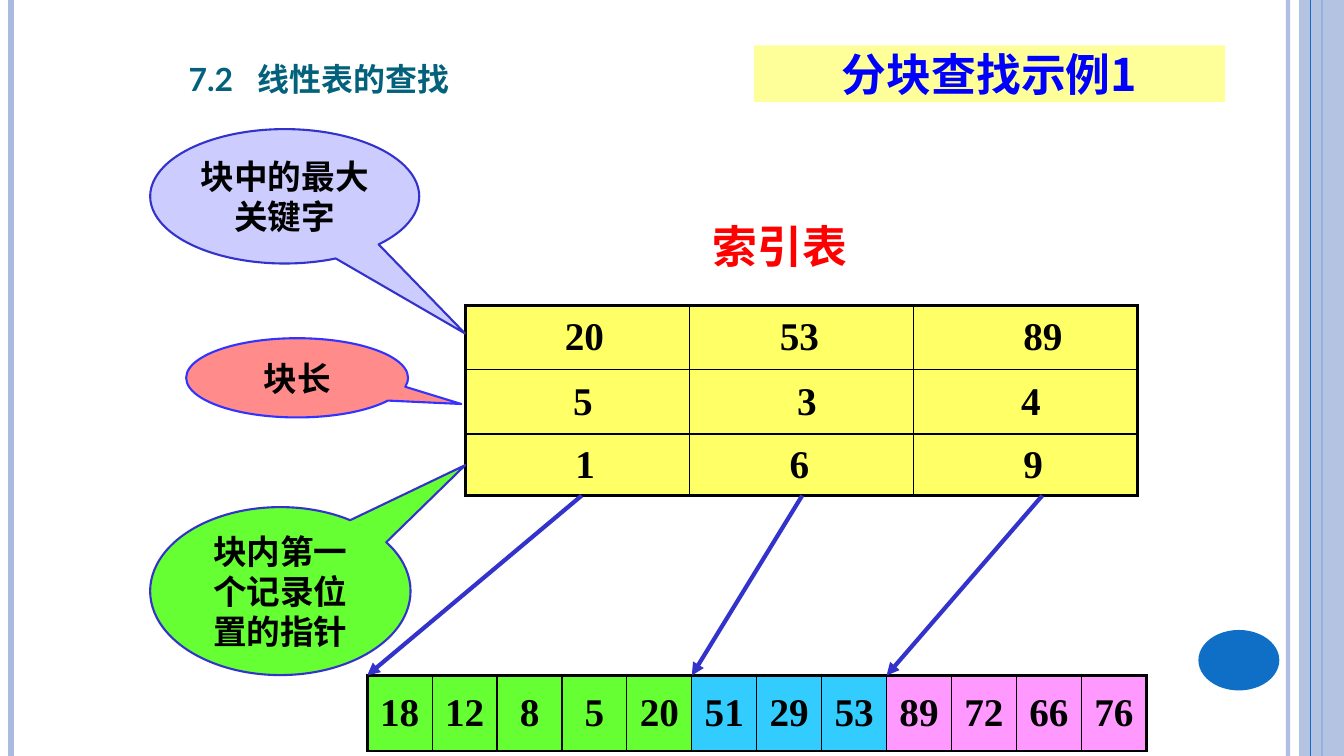
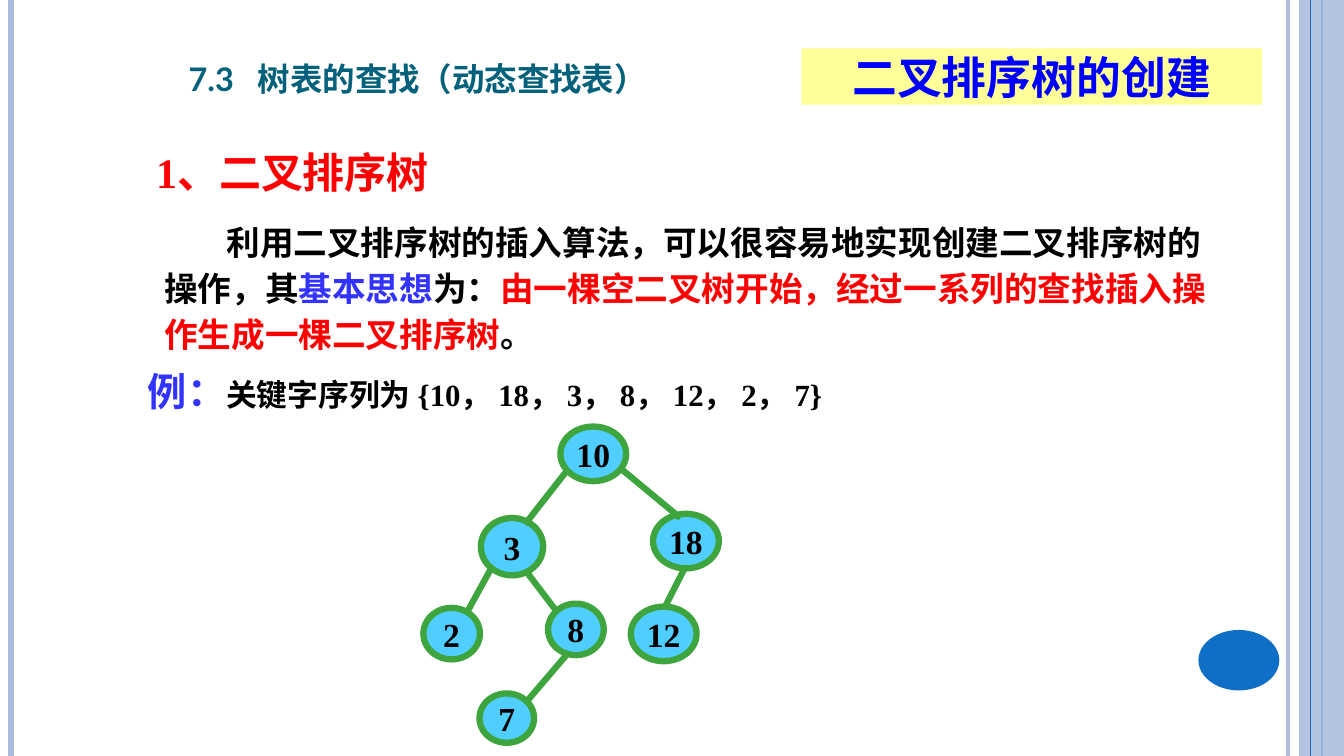
from lxml import etree
from pptx import Presentation
from pptx.dml import color as c
from pptx.enum import shapes as kinds, text as t
from pptx.oxml import ns
from pptx.util import Pt

CJK, SERIF, TITLE_FONT = "Noto Sans CJK SC", "Times New Roman", "Lato"
BLACK, RED, BLUE, INDIGO = "000000", "FF0000", "3333FF", "3333CC"
TITLE, BAND, BAND_TEXT = "04617B", "FFFF99", "0000FF"
ACCENT, EDGE = "0F6FC6", "ABBBDF"
YELLOW, GREEN, CYAN, PINK = "FFFF66", "66FF33", "33CCFF", "FF99FF"
NODE_FILL, NODE_LINE = "4FCEFF", "3EA43E"
LEFT, CENTER = t.PP_ALIGN.LEFT, t.PP_ALIGN.CENTER
OVAL, RECTANGLE = kinds.MSO_SHAPE.OVAL, kinds.MSO_SHAPE.RECTANGLE
CALLOUT = kinds.MSO_SHAPE.OVAL_CALLOUT
THICK, THIN = 2.25, 1

RULES = [(920, EDGE, 3, 93), (8, EDGE, 4.5, 100), (944, ACCENT, 1.5, 100)]

INDEX_BOX = (332.5, 218, 480, 136)
INDEX_ROWS = [
    [("20", 71), ("53", 64.5), ("89", 78.5)],
    [("5", None), ("3", None), ("4", None)],
    [("1", 78.5), ("6", 71.5), ("9", 78.5)],
]
BLOCKS_BOX = (262.3, 482.5, 556.5, 54)
BLOCKS = [(GREEN, "18 12 8 5 20"), (CYAN, "51 29 53"), (PINK, "89 72 66 76")]
POINTER_STARTS = [415.5, 573, 744.5]
CALLOUTS = [
    ("块中的最大关键字", (107.3, 92.2, 192.2, 96), (0.67, 1.02), "CCCCFF", INDIGO),
    ("块内第一个记录位置的指针", (107.3, 362.2, 186, 120), (0.71, -0.75), GREEN, INDIGO),
    ("块长", (133, 241.6, 158.5, 56.6), (0.74, 0.33), "FF8B8B", BLUE),
]

IDEA = [
    ("利用二叉排序树的插入算法，可以很容易地实现创建二叉排序树的操作，其", BLACK, 24),
    ("基本思想", BLUE, 24),
    ("为：", BLACK, 24),
    ("由一棵空二叉树开始，经过一系列的查找插入操作生成一棵二叉排序树", RED, 24),
    ("。", BLACK, 24),
]
EXAMPLE = [("例：", BLUE, 28), ("关键字序列为 {10， 18， 3， 8， 12， 2， 7}", BLACK, 22)]
TREE = [
    ("10", (400.3, 304.7, 47, 39), None),
    ("18", (466.5, 367, 47, 39), (445, 336, 486, 370)),
    ("3", (343.5, 370, 44.5, 41), (405.5, 335.5, 375, 374.5)),
    ("8", (391.5, 431.2, 39.8, 36.8), (376.5, 409, 397.5, 436.5)),
    ("12", (450.6, 433.3, 47, 39), (489, 406, 475, 433.5)),
    ("2", (302.4, 434.2, 40.4, 36.8), (350, 407.5, 333.5, 437.5)),
    ("7", (342.5, 495.3, 39, 35.3), (404.5, 468, 375, 502.5)),
]


def rgb(value):
    return c.RGBColor.from_string(value)


def points(values):
    return [Pt(value) for value in values]


def add_xml(parent, tag, **attributes):
    return etree.SubElement(parent, ns.qn(tag), attributes)


def set_opacity(part, percent):
    for fill in part.element.spPr.iter(ns.qn("a:srgbClr")):
        add_xml(fill, "a:alpha", val=str(percent * 1000))


def add_run(paragraph, words, size, color=BLACK, font=SERIF):
    run = paragraph.add_run()
    run.text = words
    run.font.size, run.font.bold, run.font.name = Pt(size), True, font
    run.font.color.rgb = rgb(color)
    add_xml(run._r.get_or_add_rPr(), "a:ea", typeface=CJK)
    return run


def add_shape(slide, kind, box, fill, line=None, width=1.5):
    shape = slide.shapes.add_shape(kind, *points(box))
    shape.shadow.inherit = False
    shape.fill.solid()
    shape.fill.fore_color.rgb = rgb(fill)
    if line:
        shape.line.color.rgb = rgb(line)
        shape.line.width = Pt(width)
    else:
        shape.line.fill.background()
    return shape


def label(shape, words, size, color=BLACK, font=SERIF, wrap=True):
    frame = shape.text_frame
    frame.word_wrap = wrap
    frame.vertical_anchor = t.MSO_ANCHOR.MIDDLE
    frame.paragraphs[0].alignment = CENTER
    add_run(frame.paragraphs[0], words, size, color, font)


def add_line(slide, ends, color, width, arrow=False):
    line = slide.shapes.add_connector(kinds.MSO_CONNECTOR.STRAIGHT, *points(ends))
    line.line.color.rgb = rgb(color)
    line.line.width = Pt(width)
    if arrow:
        add_xml(line.line._get_or_add_ln(), "a:tailEnd", type="triangle")
    add_xml(line.element.spPr, "a:effectLst")
    return line


def add_text(slide, box, runs, font=SERIF, align=LEFT, spacing=1.0, indent=0):
    frame = slide.shapes.add_textbox(*points(box)).text_frame
    frame.word_wrap = True
    paragraph = frame.paragraphs[0]
    paragraph.alignment, paragraph.line_spacing = align, spacing
    if indent:
        paragraph._p.get_or_add_pPr().set("indent", str(Pt(indent)))
    for words, color, size in runs:
        add_run(paragraph, words, size, color, font)


def add_table(slide, box, rows):
    row_count, column_count = len(rows), len(rows[0])
    table = slide.shapes.add_table(row_count, column_count, *points(box)).table
    table.first_row = table.horz_banding = False
    for r, row in enumerate(rows):
        for k, (words, fill, indent, margin) in enumerate(row):
            cell = table.cell(r, k)
            outer = {"L": k == 0, "R": k == column_count - 1,
                     "T": r == 0, "B": r == row_count - 1}
            for side, is_outer in outer.items():
                width = Pt(THICK if is_outer else THIN)
                border = add_xml(cell._tc.get_or_add_tcPr(), "a:ln" + side, w=str(width))
                add_xml(add_xml(border, "a:solidFill"), "a:srgbClr", val=BLACK)
            cell.fill.solid()
            cell.fill.fore_color.rgb = rgb(fill)
            cell.vertical_anchor = t.MSO_ANCHOR.MIDDLE
            cell.margin_left = Pt(indent or margin)
            paragraph = cell.text_frame.paragraphs[0]
            paragraph.alignment = LEFT if indent else CENTER
            add_run(paragraph, words, 28)
    return table


def decorate_master(presentation, slide):
    parts = []
    for x, color, width, opacity in RULES:
        parts.append(add_line(slide, (x, 0, x, 540), color, width))
        set_opacity(parts[-1], opacity)
    parts.append(add_shape(slide, RECTANGLE, (928, 0, 32, 540), EDGE))
    set_opacity(parts[-1], 87)
    parts.append(add_line(slide, (936, 0, 936, 540), ACCENT, 0.75))
    parts.append(add_shape(slide, OVAL, (856, 450, 57.8, 43.2), ACCENT))
    tree = presentation.slide_master.element.cSld.spTree
    for number, part in enumerate(parts):
        part.element.xpath(".//p:cNvPr")[0].set("id", str(100 + number))
        tree.insert(2 + number, part.element)


def add_slide(presentation, number, heading, size, title_width, band, band_box):
    slide = presentation.slides.add_slide(presentation.slide_layouts[5])
    title = slide.shapes.title
    title.left, title.top, title.width, title.height = points((127.5, 31, title_width, 44))
    frame = title.text_frame
    frame.auto_size = t.MSO_AUTO_SIZE.NONE
    frame.word_wrap = True
    frame.vertical_anchor = t.MSO_ANCHOR.BOTTOM
    paragraph = frame.paragraphs[0]
    paragraph.alignment = LEFT
    tabs = add_xml(paragraph._p.get_or_add_pPr(), "a:tabLst")
    add_xml(tabs, "a:tab", pos=str(Pt(49.5)), algn="l")
    run = add_run(paragraph, number + "\t" + heading, size, TITLE, TITLE_FONT)
    run._r.get_or_add_rPr().set("cap", "small")
    label(add_shape(slide, RECTANGLE, band_box, BAND), band, 32, BAND_TEXT, CJK)
    return slide


def draw_index(slide):
    add_text(slide, (437, 152.6, 240, 46), [("索引表", RED, 32)], CJK, CENTER)
    rows = [[(words, YELLOW, indent, 15) for words, indent in row] for row in INDEX_ROWS]
    table = add_table(slide, INDEX_BOX, rows)
    for row, height in zip(table.rows, (46, 46, 44)):
        row.height = Pt(height)
    blocks = [(key, fill, None, 7.2) for fill, keys in BLOCKS for key in keys.split()]
    add_table(slide, BLOCKS_BOX, [blocks])
    for words, box, tip, fill, line in CALLOUTS:
        callout = add_shape(slide, CALLOUT, box, fill, line)
        callout.adjustments[0], callout.adjustments[1] = tip
        label(callout, words, 24, font=CJK)
    left, top, width, _ = BLOCKS_BOX
    bottom = INDEX_BOX[1] + INDEX_BOX[3]
    first = 0
    for start, (_, keys) in zip(POINTER_STARTS, BLOCKS):
        target = left + width * first / len(blocks)
        add_line(slide, (start, bottom, target, top), INDIGO, 3, arrow=True)
        first += len(keys.split())


def draw_tree(slide):
    add_text(slide, (104.4, 82.8, 376, 62), [("1、二叉排序树", RED, 30)], spacing=1.5)
    add_text(slide, (110.2, 150.5, 768, 110), IDEA, spacing=1.15, indent=44.5)
    add_text(slide, (98.6, 258.5, 680, 68), EXAMPLE)
    for key, box, branch in TREE:
        label(add_shape(slide, OVAL, box, NODE_FILL, NODE_LINE, 4.5), key, 24, wrap=False)
        if branch:
            add_line(slide, branch, NODE_LINE, 4.5)


def main():
    presentation = Presentation()
    presentation.slide_width, presentation.slide_height = Pt(960), Pt(540)
    index = add_slide(presentation, "7.2", "线性表的查找", 28.5, 321,
                      "分块查找示例1", (538.6, 32.5, 336.5, 40.3))
    decorate_master(presentation, index)
    draw_index(index)
    draw_tree(add_slide(presentation, "7.3", "树表的查找（动态查找表）", 29, 454,
                        "二叉排序树的创建", (572.5, 34.5, 329, 40.3)))
    presentation.save("out.pptx")


if __name__ == "__main__":
    main()
